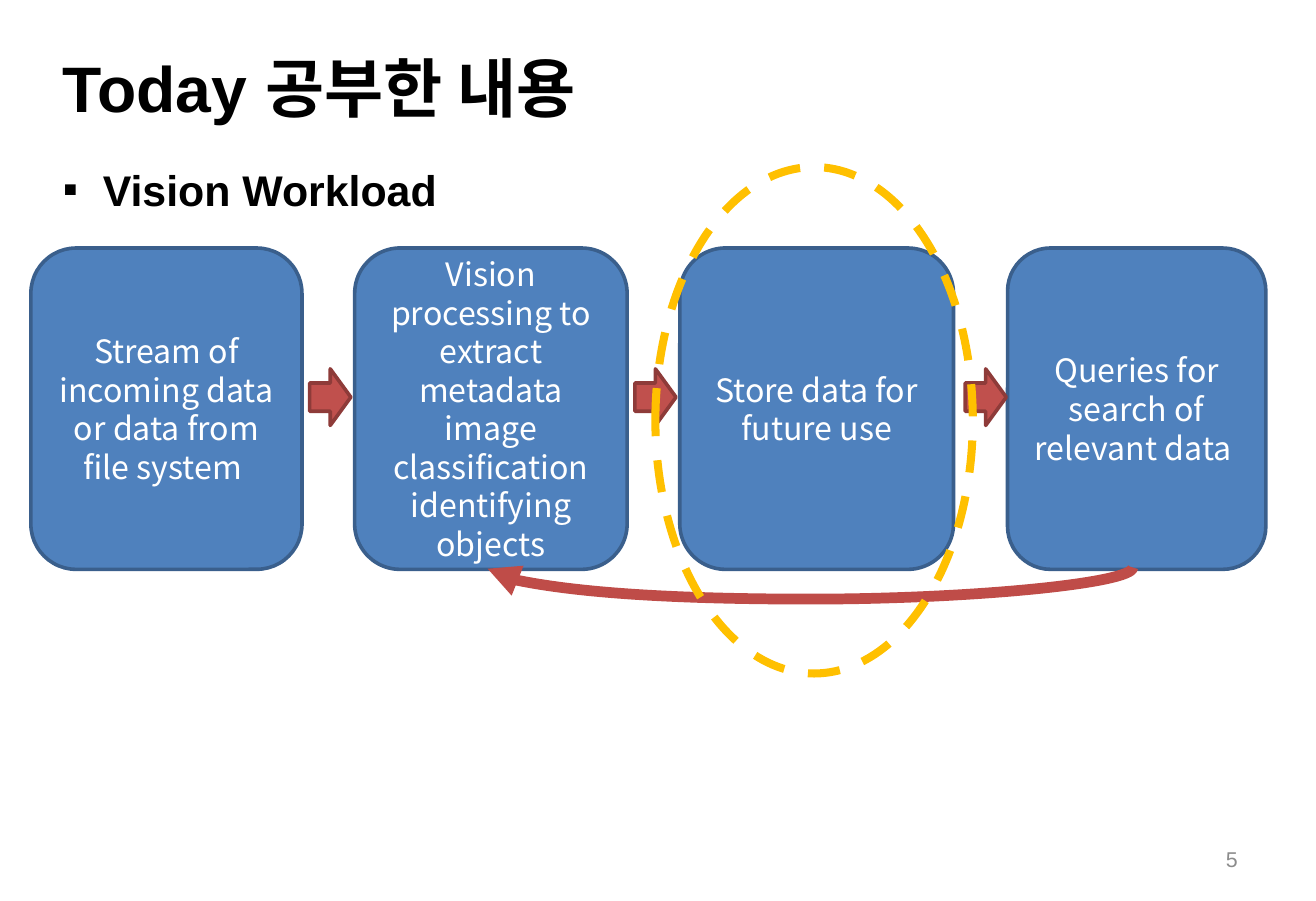
"""Build the vision workload slide with its four-stage process flow."""
from dataclasses import dataclass
from typing import Optional

from lxml.etree import SubElement
from pptx import Presentation
from pptx.dml.color import RGBColor
from pptx.enum.dml import MSO_LINE
from pptx.enum.shapes import MSO_CONNECTOR, MSO_SHAPE
from pptx.enum.text import MSO_ANCHOR as Anchor
from pptx.enum.text import MSO_AUTO_SIZE as AutoSize
from pptx.enum.text import PP_ALIGN as Align
from pptx.oxml.ns import qn
from pptx.util import Inches, Pt

BLACK = RGBColor(0x00, 0x00, 0x00)
WHITE = RGBColor(0xFF, 0xFF, 0xFF)
GRAY = RGBColor(0x8C, 0x8C, 0x8C)
BLUE = RGBColor(0x4F, 0x81, 0xBD)
BLUE_EDGE = RGBColor(0x3A, 0x5F, 0x8C)
RED = RGBColor(0xC0, 0x50, 0x4D)
RED_EDGE = RGBColor(0x8E, 0x3B, 0x39)
RED_CURVE = RGBColor(0xBF, 0x4C, 0x48)
AMBER = RGBColor(0xFF, 0xC0, 0x00)

LATIN = "Arial"
KOREAN = "Noto Sans CJK KR"
STAGE_TOP, STAGE_HEIGHT = 1.93, 2.5
ARROW_TOP, ARROW_WIDTH, ARROW_HEIGHT = 2.87, 0.32, 0.44
ARROW_LEFTS = (2.41, 4.94, 7.51)


@dataclass
class Stage:
    left: float
    width: float
    text: str


@dataclass
class Style:
    fill: Optional[RGBColor]
    line: RGBColor
    weight: float


STAGES = (
    Stage(0.24, 2.11, "Stream of incoming data or data from file system "),
    Stage(2.76, 2.12, "Vision processing to extract metadata image classification identifying objects"),
    Stage(5.29, 2.13, "Store data for future use"),
    Stage(7.84, 2.01, "Queries for search of relevant data "),
)
STAGE_STYLE = Style(BLUE, BLUE_EDGE, 2)
ARROW_STYLE = Style(RED, RED_EDGE, 2)
FOCUS_STYLE = Style(None, AMBER, 4.5)


def place(shape, left: float, top: float, width: float, height: float) -> None:
    """Move and size a shape in inches."""
    box = {"left": left, "top": top, "width": width, "height": height}
    for name, value in box.items():
        setattr(shape, name, Inches(value))


def write(shape, text: str, size: float, color: RGBColor, align: Align,
          anchor: Anchor = Anchor.MIDDLE, font: str = LATIN, bold: bool = False):
    """Fill a shape with one formatted paragraph and return it."""
    frame = shape.text_frame
    frame_format = {"word_wrap": True, "auto_size": AutoSize.NONE, "vertical_anchor": anchor}
    for name, value in frame_format.items():
        setattr(frame, name, value)
    paragraph = frame.paragraphs[0]
    paragraph.alignment = align
    run = paragraph.add_run()
    run.text = text
    for name, value in {"name": font, "size": Pt(size), "bold": bold}.items():
        setattr(run.font, name, value)
    run.font.color.rgb = color
    SubElement(run.font._element, qn("a:ea")).set("typeface", KOREAN)
    return paragraph


def add_bullet(paragraph) -> None:
    """Give a paragraph a square bullet with a hanging indent."""
    properties = paragraph._p.get_or_add_pPr()
    for name, value in {"marL": Inches(0.31), "indent": Inches(-0.31)}.items():
        properties.set(name, str(value))
    SubElement(properties, qn("a:buFont")).set("typeface", LATIN)
    SubElement(properties, qn("a:buChar")).set("char", "▪")
    for name, value in {"line_spacing": 1.2, "space_before": Pt(0)}.items():
        setattr(paragraph, name, value)


def add_figure(slide, kind: MSO_SHAPE, left: float, top: float,
               width: float, height: float, style: Style):
    """Add a preset shape with its fill and outline."""
    shape = slide.shapes.add_shape(kind, *map(Inches, (left, top, width, height)))
    shape.shadow.inherit = False
    if style.fill is None:
        shape.fill.background()
    else:
        shape.fill.solid()
        shape.fill.fore_color.rgb = style.fill
    shape.line.color.rgb = style.line
    shape.line.width = Pt(style.weight)
    return shape


def add_return_curve(slide, source, target) -> None:
    """Join the bottoms of two stages with a curved arrow."""
    curve = slide.shapes.add_connector(MSO_CONNECTOR.CURVE, 0, 0, 0, 0)
    curve.begin_connect(source, 2)
    curve.end_connect(target, 2)
    place(curve, 6.3, 1.91, 0.01, 5.02)
    properties = curve._element.spPr
    transform = properties.find(qn("a:xfrm"))
    for name, value in {"rot": "5400000", "flipH": "0", "flipV": "0"}.items():
        transform.set(name, value)
    adjustments = properties.find(qn("a:prstGeom")).get_or_add_avLst()
    guide = SubElement(adjustments, qn("a:gd"))
    for name, value in {"name": "adj1", "fmla": "val 2500000"}.items():
        guide.set(name, value)
    curve.line.color.rgb = RED_CURVE
    curve.line.width = Pt(6)
    SubElement(curve.line._get_or_add_ln(), qn("a:tailEnd")).set("type", "triangle")
    SubElement(properties, qn("a:effectLst"))


def main() -> None:
    """Create and save the presentation."""
    presentation = Presentation()
    presentation.slide_width = Inches(10.24)
    presentation.slide_height = Inches(7.01)
    slide = presentation.slides.add_slide(presentation.slide_layouts[1])

    title, body = slide.placeholders
    place(title, 0.39, 0.28, 9.45, 0.79)
    write(title, "Today 공부한 내용", 36, BLACK, Align.LEFT, bold=True)
    place(body, 0.39, 1.14, 9.45, 5.12)
    add_bullet(write(body, "Vision Workload", 24, BLACK, Align.LEFT, Anchor.TOP, bold=True))

    number = slide.shapes.add_textbox(*map(Inches, (7.34, 6.5, 2.39, 0.37)))
    write(number, "5", 12, GRAY, Align.RIGHT)

    boxes = []
    for stage in STAGES:
        box = add_figure(slide, MSO_SHAPE.ROUNDED_RECTANGLE, stage.left, STAGE_TOP,
                         stage.width, STAGE_HEIGHT, STAGE_STYLE)
        write(box, stage.text, 18, WHITE, Align.CENTER, font=KOREAN)
        boxes.append(box)
    for left in ARROW_LEFTS:
        add_figure(slide, MSO_SHAPE.RIGHT_ARROW, left, ARROW_TOP,
                   ARROW_WIDTH, ARROW_HEIGHT, ARROW_STYLE)
    add_return_curve(slide, boxes[3], boxes[1])
    focus = add_figure(slide, MSO_SHAPE.OVAL, 5.1, 1.3, 2.47, 3.94, FOCUS_STYLE)
    focus.line.dash_style = MSO_LINE.DASH

    presentation.save("out.pptx")


if __name__ == "__main__":
    main()
